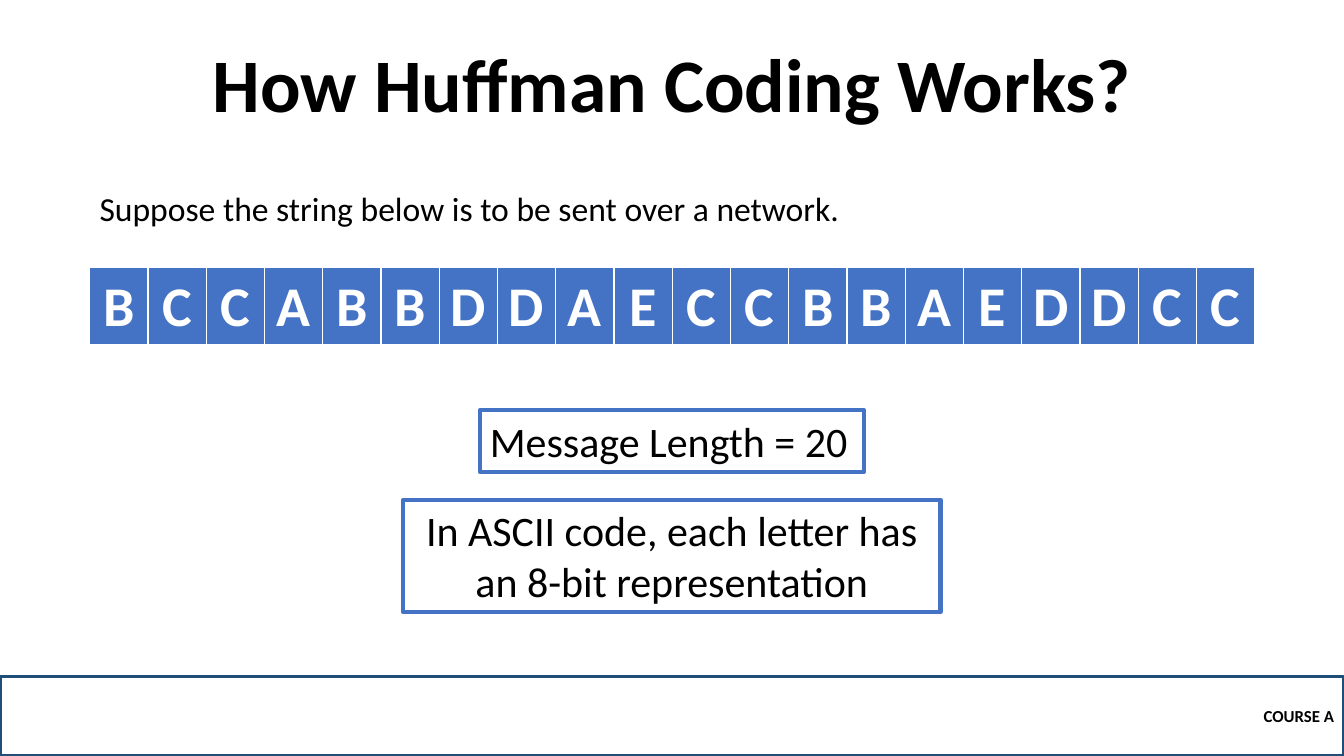
"""Build the Huffman coding slide with the message string as a one-row table."""
from lxml.etree import SubElement
from pptx import Presentation
from pptx.dml.color import RGBColor
from pptx.enum.shapes import MSO_SHAPE
from pptx.enum.text import MSO_ANCHOR, MSO_AUTO_SIZE, PP_ALIGN
from pptx.oxml.ns import qn
from pptx.util import Cm, Pt

TITLE = "How Huffman Coding Works?"
INTRO = "Suppose the string below is to be sent over a network."
MESSAGE = "BCCABBDDAECCBBAEDDCC"
FOOTER = "COURSE A"
NOTES = [
    ("Message Length = 20", 10.34, 9.68, 1.55, PP_ALIGN.LEFT),
    ("In ASCII code, each letter has an 8-bit representation", 12.6, 13.54, 2.82, PP_ALIGN.CENTER),
]
FONT = "Calibri"
COLORS = {"text": "000000", "white": "FFFFFF", "blue": "4472C4", "navy": "1F4E79"}
BORDERS = {"lnL": 1, "lnR": 1, "lnT": 1, "lnB": 3}
SLIDE_W, SLIDE_H = 33.87, 19.05
LEFT, TABLE_W, ROW_H = 2.26, 29.36, 1.95
FOOTER_H = 2.01


def color(name):
    return RGBColor.from_string(COLORS[name])


def write(tf, text, size, align, anchor=MSO_ANCHOR.TOP, bold=False, ink="text"):
    tf.word_wrap = True
    tf.vertical_anchor = anchor
    p = tf.paragraphs[0]
    p.alignment = align
    r = p.add_run()
    r.text = text
    r.font.name = FONT
    r.font.size = Pt(size)
    r.font.bold = bold
    r.font.color.rgb = color(ink)
    return p


def add_box(s, left, top, width, height, line, weight, fill=None):
    sp = s.shapes.add_shape(MSO_SHAPE.RECTANGLE, Cm(left), Cm(top), Cm(width), Cm(height))
    sp.shadow.inherit = False
    if fill:
        sp.fill.solid()
        sp.fill.fore_color.rgb = color(fill)
    else:
        sp.fill.background()
    sp.line.color.rgb = color(line)
    sp.line.width = Pt(weight)
    return sp.text_frame


def style_cell(cell):
    tcPr = cell._tc.get_or_add_tcPr()
    for tag, width in BORDERS.items():
        ln = SubElement(tcPr, qn(f"a:{tag}"), w=str(Pt(width)))
        solid = SubElement(ln, qn("a:solidFill"))
        SubElement(solid, qn("a:srgbClr"), val=COLORS["white"])
    cell.fill.solid()
    cell.fill.fore_color.rgb = color("blue")


def add_message(s):
    frame = s.shapes.add_table(1, len(MESSAGE), Cm(LEFT), Cm(6.75), Cm(TABLE_W), Cm(ROW_H))
    table = frame.table
    for col, letter in enumerate(MESSAGE):
        table.columns[col].width = Cm(TABLE_W / len(MESSAGE))
        cell = table.cell(0, col)
        style_cell(cell)
        write(cell.text_frame, letter, 40, PP_ALIGN.CENTER, bold=True, ink="white")
        cell.vertical_anchor = MSO_ANCHOR.MIDDLE


def main():
    prs = Presentation()
    prs.slide_width, prs.slide_height = Cm(SLIDE_W), Cm(SLIDE_H)
    s = prs.slides.add_slide(prs.slide_layouts[5])

    title = s.shapes.title
    title.left, title.top, title.width, title.height = Cm(4.24), Cm(1.37), Cm(25.4), Cm(2.01)
    title.text_frame.auto_size = MSO_AUTO_SIZE.NONE
    p = write(title.text_frame, TITLE, 54, PP_ALIGN.CENTER, MSO_ANCHOR.BOTTOM, bold=True)
    p.line_spacing = 0.9

    footer = add_box(s, 0, SLIDE_H - FOOTER_H, SLIDE_W, FOOTER_H, "navy", 2.25)
    write(footer, FOOTER, 12, PP_ALIGN.RIGHT, MSO_ANCHOR.MIDDLE, bold=True)

    add_message(s)

    for text, top, width, height, align in NOTES:
        tf = add_box(s, (SLIDE_W - width) / 2, top, width, height, "blue", 3, "white")
        write(tf, text, 30, align)

    intro = s.shapes.add_textbox(Cm(LEFT), Cm(4.62), Cm(19.2), Cm(1.27))
    write(intro.text_frame, INTRO, 24, PP_ALIGN.LEFT)

    prs.save("out.pptx")


if __name__ == "__main__":
    main()
